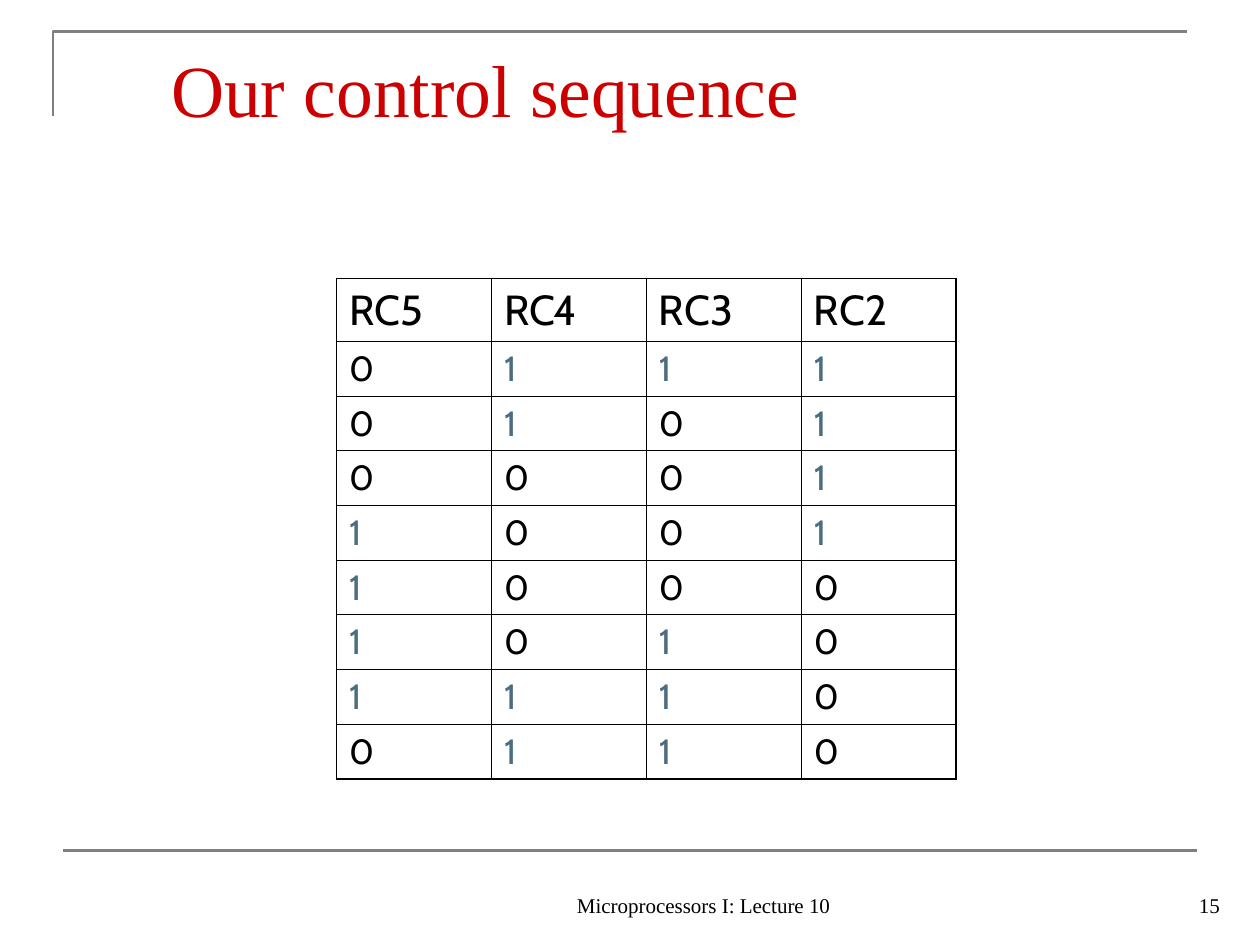
from dataclasses import dataclass

from lxml.etree import SubElement
from pptx import Presentation
from pptx.dml.color import RGBColor
from pptx.enum.shapes import MSO_CONNECTOR
from pptx.enum.text import MSO_ANCHOR, PP_ALIGN
from pptx.oxml import parse_xml
from pptx.oxml.ns import nsdecls, qn
from pptx.util import Inches, Pt


@dataclass(frozen=True)
class Theme:
    """Colours, fonts and sizes of the slide."""
    ink: str = "000000"
    title: str = "CC0000"
    high_bit: str = "4C6D80"
    rule: str = "808080"
    serif: str = "Times New Roman"
    sans: str = "Cabin"
    title_size: float = 42
    header_size: float = 24
    bit_size: float = 20
    footer_size: float = 12
    rule_width: float = 1.5
    outer_border: float = 1.08
    inner_border: float = 0.45


THEME = Theme()
PINS = ["RC5", "RC4", "RC3", "RC2"]
SEQUENCE = ["0111", "0101", "0001", "1001", "1000", "1010", "1110", "0110"]


def add_run(paragraph, text, font_name, size, color):
    """Append one formatted run to a paragraph."""
    run = paragraph.add_run()
    run.text = text
    run.font.name = font_name
    run.font.size = Pt(size)
    run.font.bold = False
    run.font.color.rgb = RGBColor.from_string(color)


def add_label(slide, text, left, top, width, height, size, color,
              align=PP_ALIGN.LEFT, anchor=MSO_ANCHOR.BOTTOM, top_inset=0.05):
    """Add a wrapped single-paragraph text box in the serif font."""
    box = slide.shapes.add_textbox(
        Inches(left), Inches(top), Inches(width), Inches(height))
    frame = box.text_frame
    frame.word_wrap = True
    frame.vertical_anchor = anchor
    frame.margin_top = Inches(top_inset)
    paragraph = frame.paragraphs[0]
    paragraph.alignment = align
    add_run(paragraph, text, THEME.serif, size, color)


def style_rule(shape):
    """Give a decorative line its colour and width."""
    shape.line.color.rgb = RGBColor.from_string(THEME.rule)
    shape.line.width = Pt(THEME.rule_width)


def add_corner_rule(slide):
    """Draw the open corner at the top left."""
    left, top = Inches(0.42), Inches(0.25)
    builder = slide.shapes.build_freeform(left, Inches(0.92))
    builder.add_line_segments([(left, top), (Inches(9.42), top)], close=False)
    corner = builder.convert_to_shape()
    corner.shadow.inherit = False
    corner.fill.background()
    style_rule(corner)


def add_footer_rule(slide):
    """Draw the horizontal line above the footer."""
    rule = slide.shapes.add_connector(
        MSO_CONNECTOR.STRAIGHT, Inches(0.5), Inches(6.75), Inches(9.5), Inches(6.75))
    style_rule(rule)
    SubElement(rule._element.spPr, qn("a:effectLst"))


def set_borders(cell, outer_sides):
    """Draw all four cell borders, thicker on the table's outer sides."""
    properties = cell._tc.get_or_add_tcPr()
    for index, side in enumerate("LRTB"):
        width = THEME.outer_border if side in outer_sides else THEME.inner_border
        properties.insert(index, parse_xml(
            f'<a:ln{side} {nsdecls("a")} w="{Pt(width)}"><a:solidFill>'
            f'<a:srgbClr val="{THEME.ink}"/></a:solidFill></a:ln{side}>'))


def add_sequence_table(slide):
    """Add the table of pin levels for each control step."""
    rows = [PINS, *SEQUENCE]
    heights = [0.5] + [0.43] * len(SEQUENCE)
    column_width = Inches(1.23)
    table = slide.shapes.add_table(
        len(rows), len(PINS), Inches(2.67), Inches(2.21),
        column_width * len(PINS), Inches(sum(heights))).table
    table.first_row = table.horz_banding = False
    for column in table.columns:
        column.width = column_width
    for row_index, (values, height) in enumerate(zip(rows, heights)):
        table.rows[row_index].height = Inches(height)
        size = THEME.bit_size if row_index else THEME.header_size
        for column_index, value in enumerate(values):
            cell = table.cell(row_index, column_index)
            cell.fill.background()
            edges = {"L": column_index == 0, "R": column_index == len(PINS) - 1,
                     "T": row_index == 0, "B": row_index == len(rows) - 1}
            set_borders(cell, [side for side, outer in edges.items() if outer])
            color = THEME.high_bit if value == "1" else THEME.ink
            add_run(cell.text_frame.paragraphs[0], value, THEME.sans, size, color)


def main():
    """Build and save the slide."""
    deck = Presentation()
    deck.slide_width, deck.slide_height = Inches(10), Inches(7.5)
    slide = deck.slides.add_slide(deck.slide_layouts[6])
    add_corner_rule(slide)
    add_footer_rule(slide)
    add_label(slide, "Microprocessors I: Lecture 10", 4, 6.83, 3.17, 0.5,
              THEME.footer_size, THEME.ink, PP_ALIGN.CENTER)
    add_label(slide, "15", 7.7, 6.83, 2.08, 0.5,
              THEME.footer_size, THEME.ink, PP_ALIGN.RIGHT)
    add_label(slide, "Our control sequence", 1.26, 0.23, 8.52, 1.6,
              THEME.title_size, THEME.title, anchor=MSO_ANCHOR.TOP, top_inset=0.12)
    add_sequence_table(slide)
    deck.save("out.pptx")


if __name__ == "__main__":
    main()
